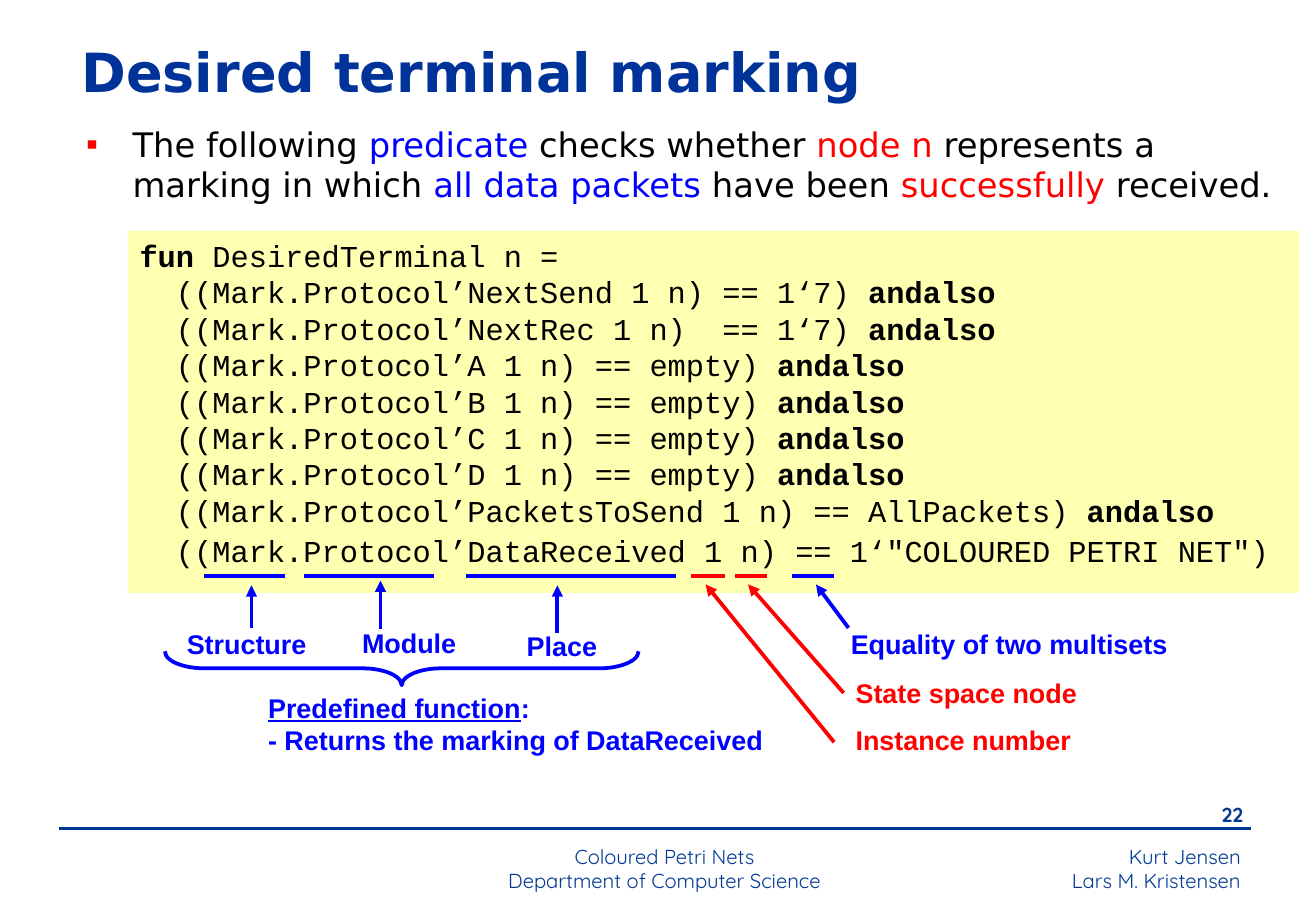
from lxml import etree
from pptx import Presentation
from pptx.dml.color import RGBColor
from pptx.enum.shapes import MSO_CONNECTOR as Link, MSO_SHAPE as Preset
from pptx.enum.text import MSO_ANCHOR as Anchor, MSO_AUTO_SIZE as Fit, PP_ALIGN as Align
from pptx.oxml.ns import qn
from pptx.util import Cm, Pt

NAVY, FOOTER, BLUE, RED, BLACK, YELLOW = "003399", "003893", "0000FF", "FF0000", "000000", "FFFF66"
HEADING, CODE, LABEL, SMALL = "DejaVu Sans", "Courier New", "Arial", "Quicksand"


def colour(code):
    return RGBColor.from_string(code)


class Slide:
    """Holds the page and the house style; one method per kind of element."""
    thick = 2.25

    def __init__(self, deck):
        self.page = deck.slides.add_slide(deck.slide_layouts[1])

    def place(self, shape, left, top, width, height):
        shape.left, shape.top, shape.width, shape.height = map(Cm, (left, top, width, height))

    def fill_text(self, shape, lines, font, size, align=Align.LEFT, anchor=Anchor.TOP):
        """Each line is a list of spans: (text, colour, bold, underline)."""
        frame = shape.text_frame
        frame.word_wrap, frame.auto_size, frame.vertical_anchor = True, Fit.NONE, anchor
        for index, spans in enumerate(lines):
            para = frame.paragraphs[0] if index == 0 else frame.add_paragraph()
            para.alignment, para.space_before = align, Pt(0)
            for text, ink, bold, underline in spans:
                span = para.add_run()
                span.text = text
                span.font.name, span.font.size = font, Pt(size)
                span.font.bold, span.font.underline = bold, underline
                span.font.color.rgb = colour(ink)
        return frame

    def title(self, text, *area):
        shape = self.page.shapes.title
        self.place(shape, *area)
        self.fill_text(shape, [[(text, NAVY, True, False)]], HEADING, 32, anchor=Anchor.MIDDLE)

    def bullet(self, spans, *area):
        shape = self.page.placeholders[1]
        self.place(shape, *area)
        frame = self.fill_text(shape, [[(text, ink, False, False) for text, ink in spans]],
                               HEADING, 20)
        props = frame.paragraphs[0]._p.get_or_add_pPr()
        props.set("marL", str(Cm(0.97)))
        props.set("indent", str(-Cm(0.97)))
        tint = etree.SubElement(props, qn("a:buClr"))
        etree.SubElement(tint, qn("a:srgbClr"), val=RED)
        etree.SubElement(props, qn("a:buChar"), char="▪")

    def text(self, lines, area, font, size, align=Align.LEFT):
        box = self.page.shapes.add_textbox(*map(Cm, area))
        self.fill_text(box, lines, font, size, align)
        return box

    def label(self, text, ink, area, align=Align.LEFT):
        return self.text([[(text, ink, True, False)]], area, LABEL, 16, align)

    def code(self, lines, *area):
        panel = self.page.shapes.add_shape(Preset.RECTANGLE, *map(Cm, area))
        panel.shadow.inherit = False
        panel.fill.solid()
        panel.fill.fore_color.rgb = colour(YELLOW)
        tint = panel._element.spPr.find(qn("a:solidFill"))[0]
        etree.SubElement(tint, qn("a:alpha"), val="50000")
        panel.line.fill.background()
        spans = [[(text, BLACK, bold, False) for text, bold in line] for line in lines]
        frame = self.fill_text(panel, spans, CODE, 18)
        frame.paragraphs[-1].space_before = Pt(2.3)

    def line(self, start, end, ink, width=thick, arrow=False, source=None):
        link = self.page.shapes.add_connector(Link.STRAIGHT, *map(Cm, (*start, *end)))
        link.line.color.rgb, link.line.width = colour(ink), Pt(width)
        if arrow:
            outline = link._element.spPr.find(qn("a:ln"))
            etree.SubElement(outline, qn("a:tailEnd"), type="triangle")
        etree.SubElement(link._element.spPr, qn("a:effectLst"))
        if source is not None:
            link.begin_connect(source, 1)

    def brace(self, ink, *area):
        shape = self.page.shapes.add_shape(Preset.LEFT_BRACE, *map(Cm, area))
        shape.shadow.inherit = False
        shape.rotation = 270
        shape.adjustments[0] = 1.16
        shape.fill.background()
        shape.line.color.rgb, shape.line.width = colour(ink), Pt(self.thick)


def plain(*texts):
    return [[(text, FOOTER, False, False)] for text in texts]


def main():
    deck = Presentation()
    deck.slide_width, deck.slide_height = Cm(27.53), Cm(19.05)
    slide = Slide(deck)

    # Footer
    slide.text(plain("Kurt Jensen", "Lars M. Kristensen"), (17.65, 17.53, 8.56, 1.27),
               SMALL, 12, Align.RIGHT)
    slide.text([[("22", FOOTER, True, False)]], (24.46, 16.66, 1.8, 0.84), SMALL, 12, Align.RIGHT)
    slide.line((1.24, 17.32), (26.16, 17.32), FOOTER, 1.5)
    slide.text(plain("Coloured Petri Nets", "Department of Computer Science"),
               (8.66, 17.53, 10.49, 1.19), SMALL, 12, Align.CENTER)

    # Title and statement
    slide.title("Desired terminal marking", 1.45, 0.43, 25.5, 2.11)
    slide.bullet([("The following ", BLACK), ("predicate", BLUE), (" checks whether ", BLACK),
                  ("node n", RED), (" represents a marking in which ", BLACK),
                  ("all data packets", BLUE), (" have been ", BLACK),
                  ("successfully", RED), (" received.", BLACK)], 1.55, 2.46, 25.4, 2.01)

    # Predicate code
    tests = ["NextSend 1 n) == 1‘7)", "NextRec 1 n)  == 1‘7)",
             *(f"{name} 1 n) == empty)" for name in "ABCD"),
             "PacketsToSend 1 n) == AllPackets)"]
    prefix = "  ((Mark.Protocol’"
    slide.code([[("fun", True), (" DesiredTerminal n =", False)],
                *([(f"{prefix}{test} ", False), ("andalso", True)] for test in tests),
                [(prefix + 'DataReceived 1 n) == 1‘"COLOURED PETRI NET")', False)]],
               2.67, 4.83, 24.51, 7.57)

    # Callouts: label, colour, alignment, left, top, width, underline, arrow start, arrow tip
    callouts = [
        ("Structure", BLUE, Align.CENTER, 3.56, 13, 3.2, (4.27, 5.97), (5.26, 13.13), (5.26, 12.24)),
        ("Module", BLUE, Align.CENTER, 6.96, 12.98, 3.2, (6.35, 9.07), (7.96, 13.16), (7.96, 12.14)),
        ("Place", BLUE, Align.CENTER, 9.75, 13.03, 4.01, (9.75, 14.15), (11.66, 13.23), (11.66, 12.24)),
        ("Equality of two multisets", BLUE, Align.LEFT, 17.55, 13, 8.31, (16.56, 17.45),
         (17.75, 13.13), (17.07, 12.22)),
        ("State space node", RED, Align.LEFT, 17.65, 14.02, 5.21, (15.37, 16.05),
         None, (15.65, 12.22)),  # starts at the label's left side
        ("Instance number", RED, Align.LEFT, 17.65, 15.01, 5.21, (14.45, 15.16),
         (17.45, 15.52), (14.76, 12.22)),
    ]
    underline_y, label_height = 12.04, 0.94
    for text, ink, align, left, top, width, (first, last), start, tip in callouts:
        box = slide.label(text, ink, (left, top, width, label_height), align)
        slide.line((first, underline_y), (last, underline_y), ink)
        slide.line(start or (left, top + label_height / 2), tip, ink, arrow=True,
                   source=None if start else box)

    # Predefined function
    slide.brace(BLUE, 8.05, 9.02, 0.71, 9.91)
    slide.text([[("Predefined function", BLUE, True, True), (":", BLUE, True, False)],
                [("- Returns the marking of DataReceived", BLUE, True, False)]],
               (5.36, 14.33, 12.7, 1.63), LABEL, 16)

    deck.save("out.pptx")


if __name__ == "__main__":
    main()
